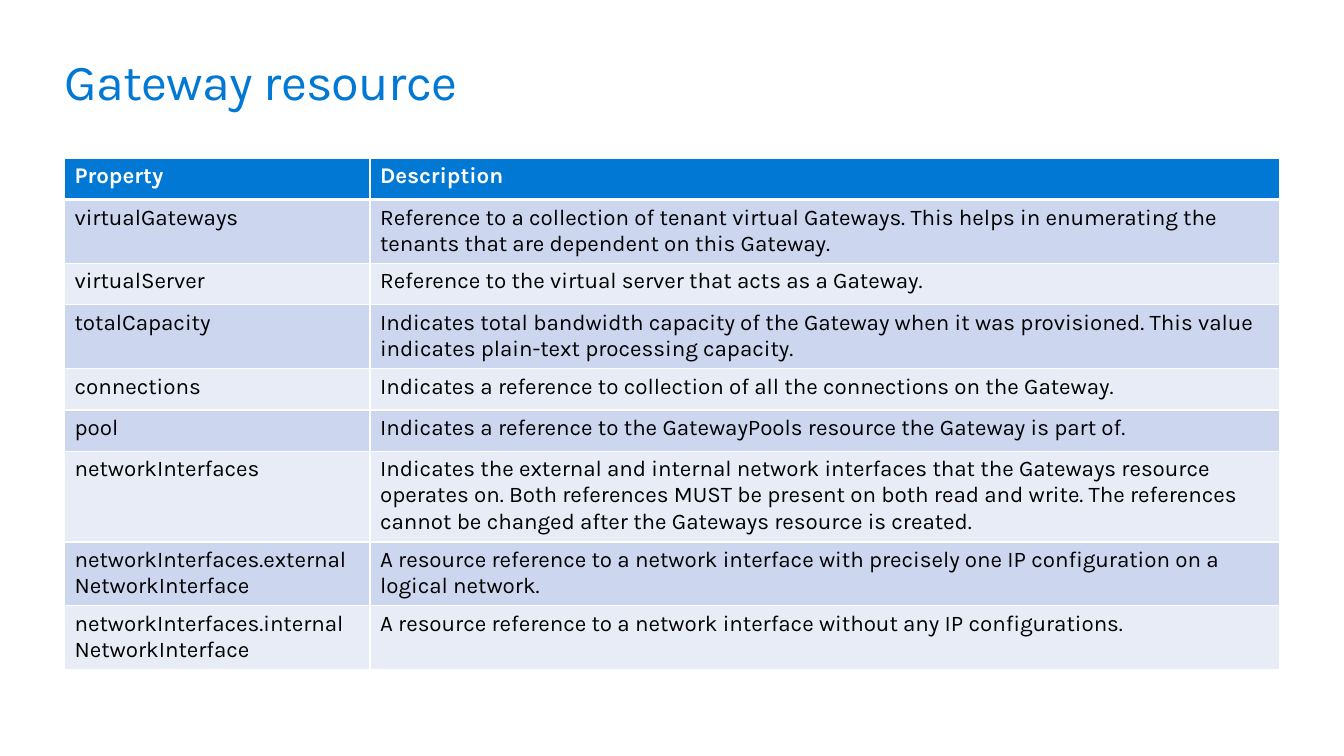
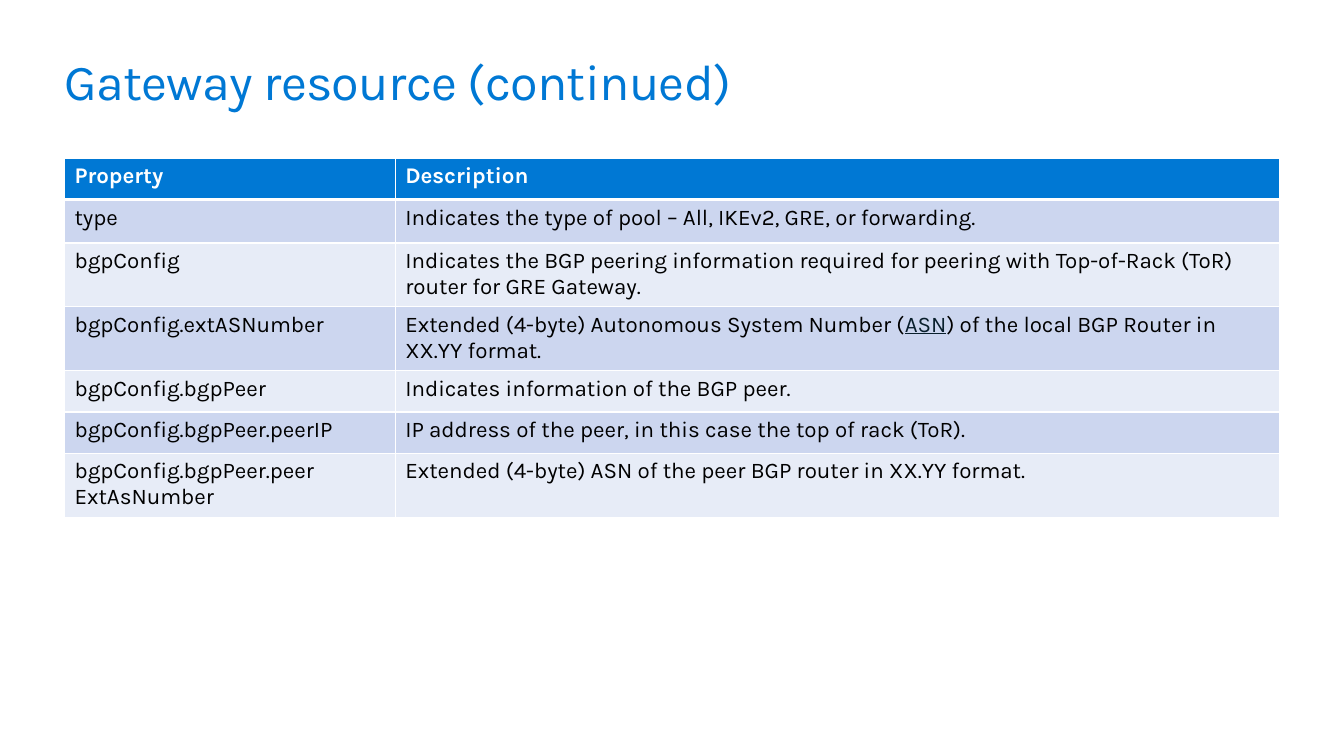
from lxml import etree
from pptx import Presentation
from pptx.dml.color import RGBColor
from pptx.oxml.ns import qn
from pptx.util import Inches, Pt

BLUE, WHITE, BLACK, NAVY = "0078D4", "FFFFFF", "000000", "091F2C"
BANDS = ("CCD6EF", "E7ECF7")
FONT = "Karla"
LEFT, WIDTH = 0.64, 12.05
HEAD = ("Property", "Description")

GATEWAY = [
    ("virtualGateways",
     "Reference to a collection of tenant virtual Gateways. This helps in "
     "enumerating the tenants that are dependent on this Gateway."),
    ("virtualServer",
     "Reference to the virtual server that acts as a Gateway."),
    ("totalCapacity",
     "Indicates total bandwidth capacity of the Gateway when it was "
     "provisioned. This value indicates plain-text processing capacity."),
    ("connections",
     "Indicates a reference to collection of all the connections on the "
     "Gateway."),
    ("pool",
     "Indicates a reference to the GatewayPools resource the Gateway is "
     "part of."),
    ("networkInterfaces",
     "Indicates the external and internal network interfaces that the "
     "Gateways resource operates on. Both references MUST be present on both "
     "read and write. The references cannot be changed after the Gateways "
     "resource is created."),
    ("networkInterfaces.external\nNetworkInterface",
     "A resource reference to a network interface with precisely one IP "
     "configuration on a logical network."),
    ("networkInterfaces.internal\nNetworkInterface",
     "A resource reference to a network interface without any IP "
     "configurations."),
]

# Words between bars are underlined.
MORE = [
    ("type", "Indicates the type of pool – All, IKEv2, GRE, or forwarding."),
    ("bgpConfig",
     "Indicates the BGP peering information required for peering with "
     "Top-of-Rack (ToR) router for GRE Gateway."),
    ("bgpConfig.extASNumber",
     "Extended (4-byte) Autonomous System Number (|ASN|) of the local BGP "
     "Router in XX.YY format."),
    ("bgpConfig.bgpPeer", "Indicates information of the BGP peer."),
    ("bgpConfig.bgpPeer.peerIP",
     "IP address of the peer, in this case the top of rack (ToR)."),
    ("bgpConfig.bgpPeer.peer\nExtAsNumber",
     "Extended (4-byte) ASN of the peer BGP router in XX.YY format."),
]


def rgb(code):
    return RGBColor.from_string(code)


class Deck:
    def __init__(self):
        self.prs = Presentation()
        self.prs.slide_width = Inches(13.33)
        self.prs.slide_height = Inches(7.5)
        self.slide = None

    def page(self, title):
        self.slide = self.prs.slides.add_slide(self.prs.slide_layouts[6])
        box = self.slide.shapes.add_textbox(
            Inches(LEFT), Inches(0.5), Inches(WIDTH), Inches(0.61))
        frame = box.text_frame
        frame.word_wrap = True
        frame.margin_left = frame.margin_right = 0
        frame.margin_top = frame.margin_bottom = 0
        frame.text = title
        run = frame.paragraphs[0].runs[0]
        self.style(run, 36, BLUE)
        run.font._element.set("spc", "-50")

    def style(self, run, size, color, bold=False):
        font = run.font
        font.name, font.size, font.bold = FONT, Pt(size), bold
        font.color.rgb = rgb(color)

    def edge(self, cell, row):
        """Draw white cell borders, thick between the header and the body."""
        props = cell._tc.get_or_add_tcPr()
        for side in "LRTB":
            thick = (row, side) in ((0, "B"), (1, "T"))
            line = etree.SubElement(props, qn("a:ln" + side),
                                    w=str(Pt(3 if thick else 1)))
            fill = etree.SubElement(line, qn("a:solidFill"))
            etree.SubElement(fill, qn("a:srgbClr"), val=WHITE)

    def cell(self, cell, row, words):
        self.edge(cell, row)
        cell.fill.solid()
        cell.fill.fore_color.rgb = rgb(BANDS[(row - 1) % 2] if row else BLUE)
        parts = words.split("|")
        frame = cell.text_frame
        frame.text = parts[0]
        for part in parts[1:]:
            frame.paragraphs[-1].add_run().text = part
        for para in frame.paragraphs:
            for i, run in enumerate(para.runs):
                self.style(run, 16, BLACK if row else WHITE, bold=not row)
                if i % 2:
                    run.font.underline = True
                    run.font.color.rgb = rgb(NAVY)

    def table(self, first, body):
        """Add a table whose first column has the given width."""
        rows = [HEAD] + body
        grid = self.slide.shapes.add_table(
            len(rows), 2, Inches(LEFT), Inches(1.57), Inches(WIDTH),
            Inches(0.41 * len(rows))).table
        for col, width in zip(grid.columns, (first, WIDTH - first)):
            col.width = Inches(width)
        for r, words in enumerate(rows):
            grid.rows[r].height = Inches(0.43 if r == 1 else 0.41)
            for c, word in enumerate(words):
                self.cell(grid.cell(r, c), r, word)


def main():
    deck = Deck()
    deck.page("Gateway resource")
    deck.table(3.03, GATEWAY)
    deck.page("Gateway resource (continued)")
    deck.table(3.28, MORE)
    deck.prs.save("out.pptx")


if __name__ == "__main__":
    main()
